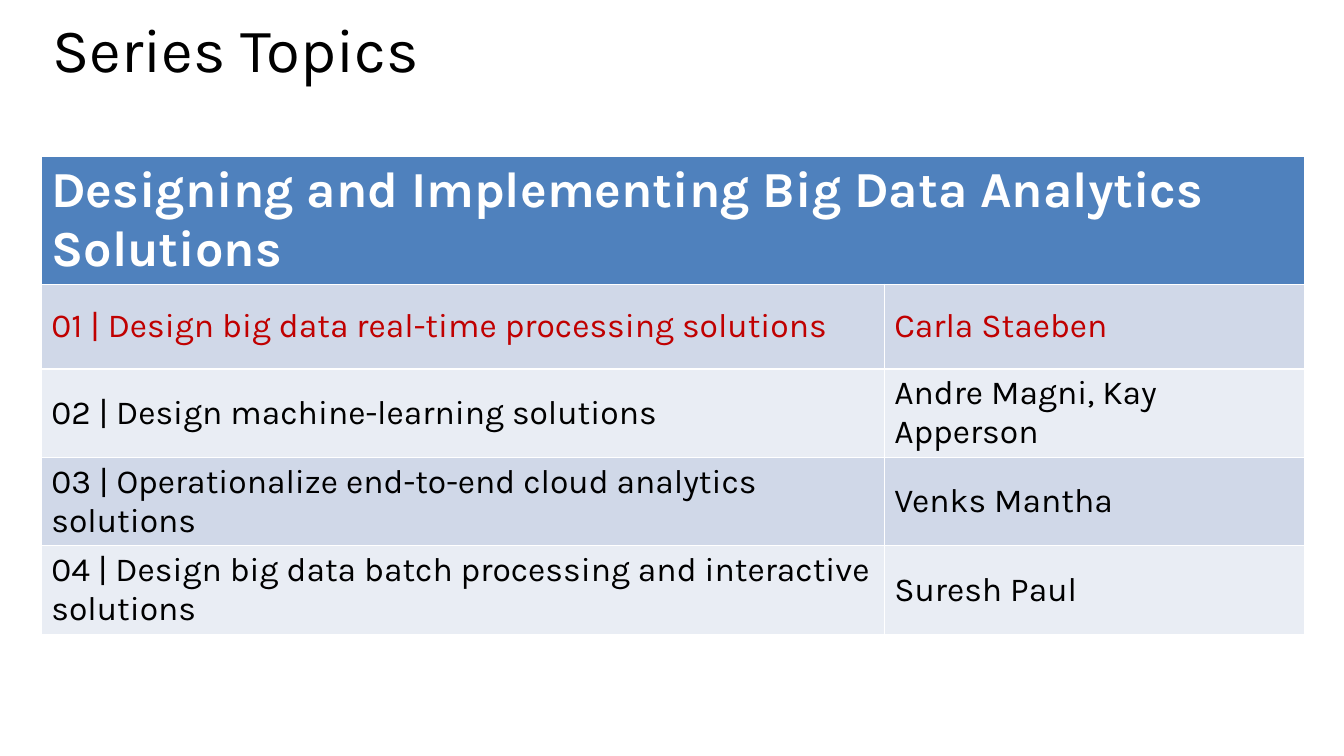
from dataclasses import dataclass

from pptx import Presentation
from pptx.dml.color import RGBColor
from pptx.enum import text
from pptx.util import Inches, Pt


@dataclass(frozen=True)
class Theme:
    font: str = "Karla"
    ink: str = "000000"
    white: str = "FFFFFF"
    current: str = "C00000"
    header: str = "4F81BD"
    bands: tuple = ("D0D8E8", "E9EDF4")
    title_size: int = 44
    header_size: int = 36
    body_size: int = 24


THEME = Theme()
HEADING = "Designing and Implementing Big Data Analytics Solutions"
TOPICS = [
    ("Design big data real-time processing solutions", "Carla Staeben"),
    ("Design machine-learning solutions", "Andre Magni, Kay Apperson"),
    ("Operationalize end-to-end cloud analytics solutions", "Venks Mantha"),
    ("Design big data batch processing and interactive solutions", "Suresh Paul"),
]
CURRENT_TOPIC = 1


def write(tf, content, size, color, bold=False):
    tf.text = content
    p = tf.paragraphs[0]
    for r in p.runs:
        r.font.name = THEME.font
        r.font.size = Pt(size)
        r.font.bold = bold
        r.font.color.rgb = RGBColor.from_string(color)
    return p


def add_title(s, content):
    sp = s.shapes.title
    sp.left, sp.top = Inches(0.42), Inches(0.2)
    sp.width, sp.height = Inches(12.6), Inches(1.16)
    tf = sp.text_frame
    tf.word_wrap = True
    tf.auto_size = text.MSO_AUTO_SIZE.NONE
    tf.vertical_anchor = text.MSO_ANCHOR.TOP
    p = write(tf, content, THEME.title_size, THEME.ink)
    p.alignment = text.PP_ALIGN.LEFT
    p.line_spacing = 0.8


def fill_cell(cell, content, fill, size, color, bold=False):
    cell.fill.solid()
    cell.fill.fore_color.rgb = RGBColor.from_string(fill)
    cell.vertical_anchor = text.MSO_ANCHOR.MIDDLE
    write(cell.text_frame, content, size, color, bold)


def add_topics(s, heading, topics):
    rows = len(topics) + 1
    table = s.shapes.add_table(
        rows, 2, Inches(0.41), Inches(1.55), Inches(12.53), Inches(0.84 * rows)
    ).table
    for column, width in zip(table.columns, (8.36, 4.17)):
        column.width = Inches(width)

    header = table.cell(0, 0)
    header.merge(table.cell(0, 1))
    fill_cell(header, heading, THEME.header, THEME.header_size, THEME.white, True)

    for number, (topic, speaker) in enumerate(topics, 1):
        band = THEME.bands[(number - 1) % 2]
        color = THEME.current if number == CURRENT_TOPIC else THEME.ink
        for col, content in enumerate((f"{number:02} | {topic}", speaker)):
            fill_cell(table.cell(number, col), content, band, THEME.body_size, color)


def main():
    prs = Presentation()
    prs.slide_width, prs.slide_height = Inches(13.33), Inches(7.5)
    s = prs.slides.add_slide(prs.slide_layouts[5])
    add_title(s, "Series Topics")
    add_topics(s, HEADING, TOPICS)
    prs.save("out.pptx")


if __name__ == "__main__":
    main()
